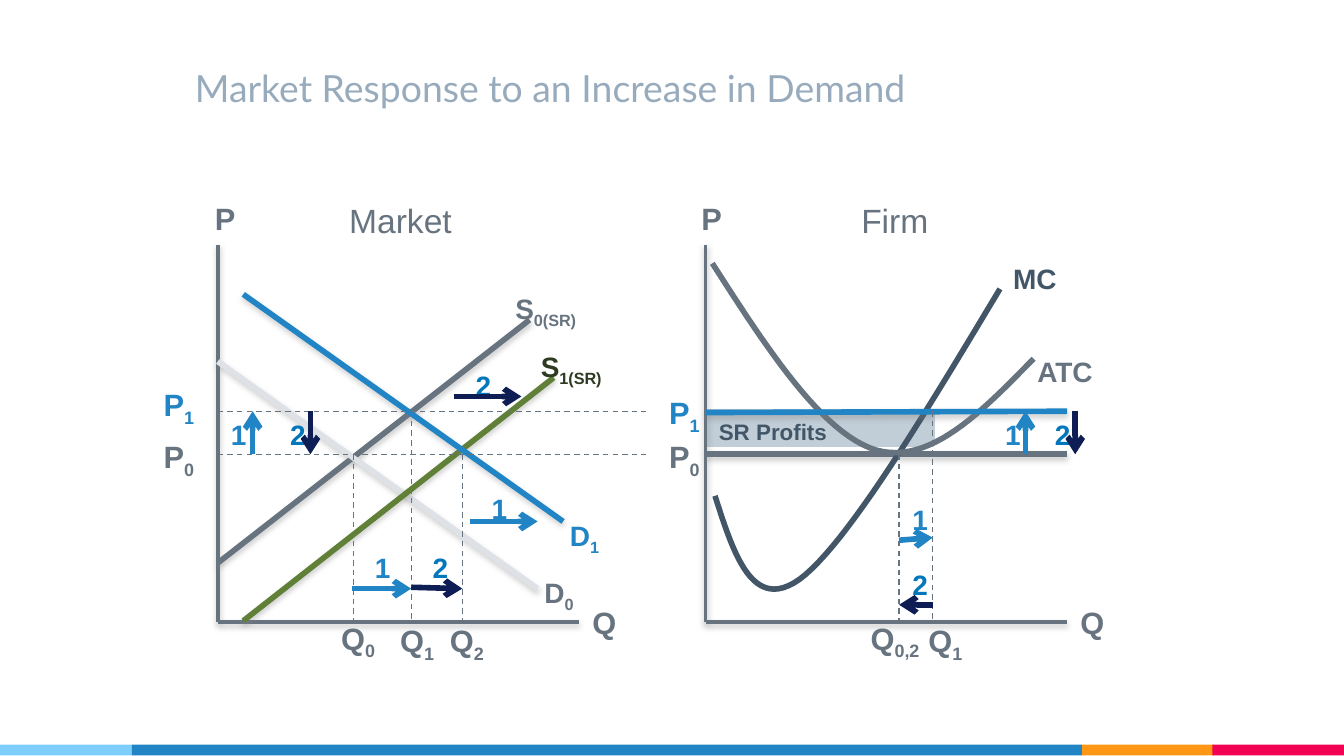
"""Build the slide on market and firm responses to an increase in demand."""
from dataclasses import dataclass

from lxml.etree import SubElement
from pptx import Presentation
from pptx.dml.color import RGBColor
from pptx.enum.dml import MSO_LINE
from pptx.enum.shapes import MSO_CONNECTOR, MSO_SHAPE
from pptx.enum.text import MSO_ANCHOR, MSO_AUTO_SIZE as AutoSize, PP_ALIGN
from pptx.oxml.ns import qn
from pptx.util import Inches, Pt

COLORS = {
    "title": "97ABBC", "grey": "677480", "slate": "425667", "pale": "DEE2E6",
    "blue": "2185C5", "navy": "0E1D54", "two": "0377BB", "green": "5F8036",
    "moss": "2E3B22", "profit": "C1CDD7", "shadow": "808080",
    "sky": "7ECEFD", "orange": "FF9715", "pink": "F20253",
}
AXIS_Y, P0_Y, P1_Y = 4.63, 3.38, 3.06
MARKET_X, FIRM_X = 1.62, 5.25


@dataclass
class Line:
    start: tuple[float, float]
    end: tuple[float, float]
    color: str = "grey"
    width: float = 3
    style: str = "shadow"


@dataclass
class Label:
    x: float
    y: float
    w: float
    h: float
    text: str
    sub: str = ""
    color: str = "grey"
    size: float = 16.5
    bold: bool = True
    centered: bool = False


@dataclass
class Step:
    number: int
    x: float
    y: float
    start: tuple[float, float]
    end: tuple[float, float]


@dataclass
class Curve:
    points: list[tuple[float, float]]
    color: str


def rgb(name: str) -> RGBColor:
    return RGBColor.from_string(COLORS[name])


def add_block(s, x: float, y: float, w: float, h: float, color: str, border: float = 0) -> None:
    sp = s.shapes.add_shape(MSO_SHAPE.RECTANGLE, Inches(x), Inches(y), Inches(w), Inches(h))
    sp.shadow.inherit = False
    sp.fill.solid()
    sp.fill.fore_color.rgb = rgb(color)
    if border:
        sp.line.color.rgb = rgb(color)
        sp.line.width = Pt(border)
    else:
        sp.line.fill.background()


def add_line(s, line: Line) -> None:
    ends = [Inches(v) for v in (*line.start, *line.end)]
    cn = s.shapes.add_connector(MSO_CONNECTOR.STRAIGHT, *ends)
    cn.line.color.rgb = rgb(line.color)
    cn.line.width = Pt(line.width)
    sp_pr = cn._element.spPr
    if line.style == "dash":
        cn.line.dash_style = MSO_LINE.DASH
    elif line.style == "arrow":
        SubElement(sp_pr.find(qn("a:ln")), qn("a:tailEnd"), type="arrow")
    effects = SubElement(sp_pr, qn("a:effectLst"))
    if line.style == "shadow":
        shadow = SubElement(effects, qn("a:outerShdw"), blurRad=str(Pt(3.1)),
                            dist=str(Pt(1.6)), dir="5400000", rotWithShape="0")
        color = SubElement(shadow, qn("a:srgbClr"), val=COLORS["shadow"])
        SubElement(color, qn("a:alpha"), val="38000")


def add_label(s, label: Label) -> None:
    box = s.shapes.add_textbox(*[Inches(v) for v in (label.x, label.y, label.w, label.h)])
    tf = box.text_frame
    tf.word_wrap = True
    tf.auto_size = AutoSize.SHAPE_TO_FIT_TEXT
    p = tf.paragraphs[0]
    p.alignment = PP_ALIGN.CENTER if label.centered else PP_ALIGN.LEFT
    for text, baseline in ((label.text, None), (label.sub, "-25000")):
        if not text:
            continue
        r = p.add_run()
        r.text = text
        r.font.name, r.font.size, r.font.bold = "Arial", Pt(label.size), label.bold
        r.font.color.rgb = rgb(label.color)
        if baseline:
            r.font._element.set("baseline", baseline)


def add_step(s, step: Step) -> None:
    line_color, text_color = ("blue", "blue") if step.number == 1 else ("navy", "two")
    add_label(s, Label(step.x, step.y, 0.31, 0.35, str(step.number), color=text_color, size=15))
    add_line(s, Line(step.start, step.end, line_color, style="arrow"))


def bezier(points: list[tuple[float, float]], t: float) -> tuple[float, float]:
    while len(points) > 1:
        points = [(a + (c - a) * t, b + (d - b) * t)
                  for (a, b), (c, d) in zip(points, points[1:])]
    return points[0]


def add_curve(s, curve: Curve, steps: int = 24) -> None:
    path = [bezier(curve.points[i:i + 4], k / steps)
            for i in range(0, len(curve.points) - 1, 3) for k in range(1, steps + 1)]
    x, y = curve.points[0]
    fb = s.shapes.build_freeform(Inches(x), Inches(y))
    fb.add_line_segments([(Inches(a), Inches(b)) for a, b in path], close=False)
    sp = fb.convert_to_shape()
    sp.shadow.inherit = False
    sp.fill.background()
    sp.line.color.rgb = rgb(curve.color)
    sp.line.width = Pt(3)


def add_title(s, text: str) -> None:
    sp = s.shapes.title
    sp.left, sp.top, sp.width, sp.height = [Inches(v) for v in (1.35, 0.32, 7.4, 0.6)]
    tf = sp.text_frame
    tf.auto_size, tf.vertical_anchor = AutoSize.NONE, MSO_ANCHOR.BOTTOM
    tf.margin_left = tf.margin_right = tf.margin_top = tf.margin_bottom = Inches(0.1)
    p = tf.paragraphs[0]
    p.alignment = PP_ALIGN.LEFT
    r = p.add_run()
    r.text = text
    r.font.name, r.font.size = "Lato", Pt(20)
    r.font.color.rgb = rgb("title")


BARS = [(8.05, 0.98, "orange"), (9.02, 0.98, "pink"), (0, 0.98, "sky"), (0.98, 7.07, "blue")]
AXES = [Line(a, b, width=2) for x in (MARKET_X, FIRM_X)
        for a, b in (((x, 1.82), (x, AXIS_Y)), ((x, AXIS_Y), (x + 2.69, AXIS_Y)))]
MARKET_LINES = [
    Line((1.62, 4.19), (3.94, 2.38)),
    Line((1.62, 2.69), (4, 4.38), "pale"),
    Line((1.81, 4.62), (4.12, 2.81), "green"),
    Line((1.81, 2.19), (4.19, 3.88), "blue"),
]
GUIDES = [Line((MARKET_X, y), (4.81, y), width=0.75, style="dash") for y in (P0_Y, P1_Y)]
GUIDES += [Line((x, y), (x, AXIS_Y), width=0.75, style="dash") for x, y in
           ((2.63, P0_Y), (3.06, P1_Y), (3.44, P0_Y), (6.69, P0_Y), (6.94, P1_Y))]
CURVES = [
    Curve([(5.32, 3.69), (5.46, 4.13), (5.6, 4.56), (5.95, 4.31),
           (6.3, 4.05), (6.87, 3.1), (7.44, 2.15)], "slate"),
    Curve([(5.3, 1.96), (5.71, 2.6), (6.12, 3.23), (6.52, 3.35),
           (6.92, 3.46), (7.3, 3.07), (7.69, 2.67)], "grey"),
]
LABELS = [Label(x, 1.44, 0.62, 0.38, "P") for x in (1.5, 5.12)]
LABELS += [Label(x, 4.44, 0.44, 0.38, "Q") for x in (4.31, 7.94)]
LABELS += [Label(x, y, w, 0.38, "Q", sub) for x, y, w, sub in (
    (2.44, 4.56, 0.62, "0"), (2.88, 4.58, 0.56, "1"), (3.25, 4.58, 0.56, "2"),
    (6.38, 4.56, 0.62, "0,2"), (6.81, 4.58, 0.56, "1"))]
LABELS += [Label(x, y, w, h, "P", sub, color) for x, y, w, h, sub, color in (
    (1.12, 3.21, 0.56, 0.38, "0", "grey"), (1.12, 2.82, 0.56, 0.38, "1", "blue"),
    (4.88, 3.21, 0.44, 0.66, "0", "grey"), (4.88, 2.88, 0.44, 0.66, "1", "blue"))]
LABELS += [Label(x, y, w, 0.35, text, sub, color, 15, centered=True) for x, y, w, text, sub, color in (
    (3.62, 2.12, 0.88, "S", "0(SR)", "grey"), (3.81, 2.55, 0.88, "S", "1(SR)", "moss"),
    (3.69, 4.23, 0.94, "D", "0", "grey"), (3.88, 3.81, 0.94, "D", "1", "blue"))]
LABELS += [
    Label(7.44, 1.9, 0.62, 0.35, "MC", color="slate", size=15),
    Label(7.62, 2.59, 0.93, 0.35, "ATC", size=15),
    Label(2.5, 1.44, 1.19, 0.4, "Market", size=18, bold=False),
    Label(6.31, 1.44, 0.81, 0.4, "Firm", size=18, bold=False),
]
STEPS = [
    Step(1, 3.56, 3.61, (3.5, 3.88), (4, 3.88)),
    Step(2, 3.44, 2.69, (3.38, 2.95), (3.88, 2.95)),
    Step(1, 1.62, 3.06, (1.88, P0_Y), (1.88, P1_Y)),
    Step(2, 2.06, 3.06, (2.31, P1_Y), (2.31, P0_Y)),
    Step(1, 7.38, 3.06, (7.63, P0_Y), (7.63, P1_Y)),
    Step(2, 7.75, 3.06, (8, P1_Y), (8, P0_Y)),
    Step(1, 6.69, 3.69, (6.69, 4.02), (6.94, 4)),
    Step(2, 6.69, 4.17, (6.94, 4.5), (6.69, 4.5)),
    Step(1, 2.69, 4.05, (2.62, 4.38), (3.06, 4.38)),
    Step(2, 3.12, 4.05, (3.06, 4.37), (3.44, 4.38)),
]

prs = Presentation()
prs.slide_width, prs.slide_height = Inches(10), Inches(10 * 9 / 16)
s = prs.slides.add_slide(prs.slide_layouts[5])
for x, w, color in BARS:
    add_block(s, x, 5.54, w, 0.08, color)
add_title(s, "Market Response to an Increase in Demand")
add_block(s, FIRM_X, P1_Y, 1.69, 0.25, "profit", 2)
add_label(s, Label(FIRM_X, P1_Y, 1.12, 0.3, "SR Profits", color="slate", size=12))
for line in (*AXES, *MARKET_LINES, Line((FIRM_X, P0_Y), (7.94, P0_Y))):
    add_line(s, line)
for curve in CURVES:
    add_curve(s, curve)
for line in (Line((FIRM_X, 3.07), (7.94, P1_Y), "blue"), *GUIDES):
    add_line(s, line)
for label in LABELS:
    add_label(s, label)
for step in STEPS:
    add_step(s, step)
prs.save("out.pptx")
